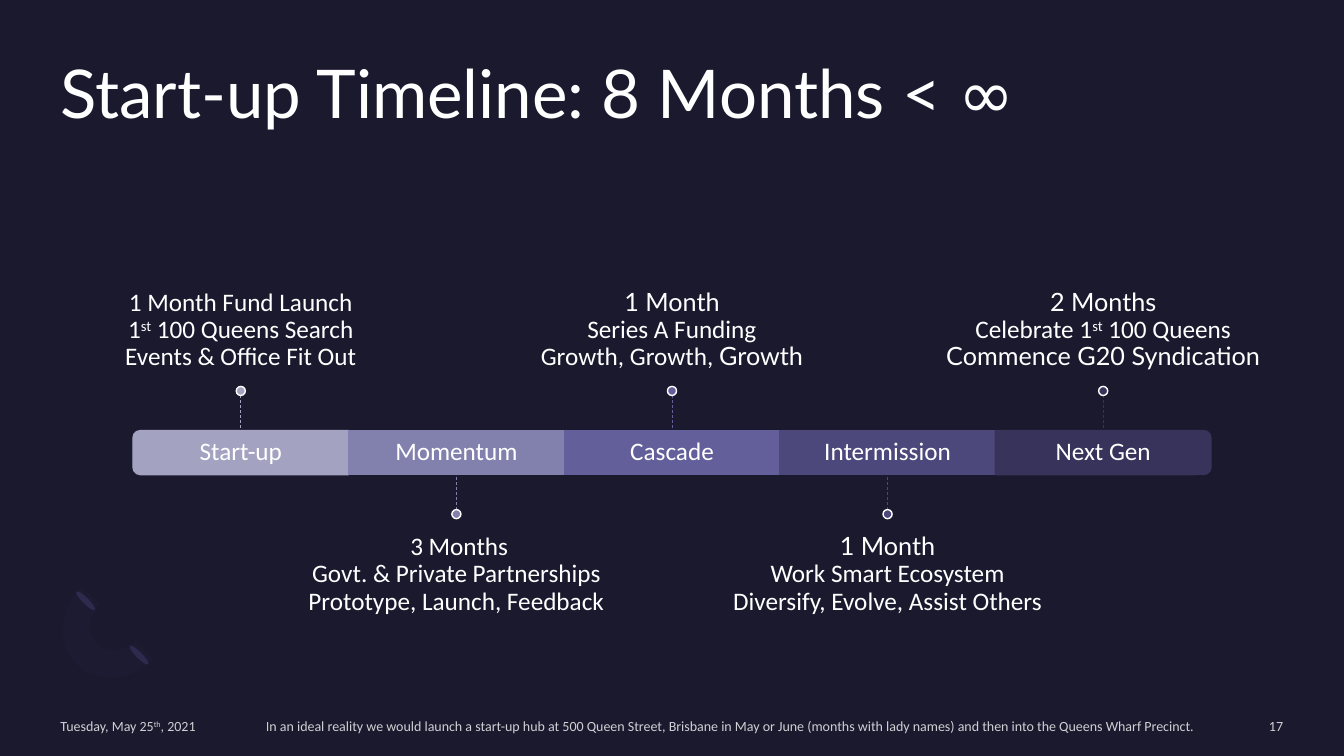
from dataclasses import dataclass

from lxml.etree import SubElement
from pptx import Presentation
from pptx.dml.color import RGBColor
from pptx.enum.dml import MSO_LINE
from pptx.enum.shapes import MSO_CONNECTOR, MSO_SHAPE as SHAPE
from pptx.enum.text import MSO_ANCHOR as ANCHOR, PP_ALIGN as ALIGN
from pptx.oxml.ns import qn
from pptx.util import Pt


@dataclass(frozen=True)
class Theme:
    background: str = "1B192E"
    text: str = "FFFFFF"
    leaf: str = "2C284A"
    arc: str = "7771B2"
    phases: tuple = ("A3A3C1", "8281AE", "625F9A", "4C487B", "37335B")
    body_font: str = "Calibri"
    title_font: str = "Lato"
    symbol_font: str = "League Spartan"
    title_size: int = 48
    body_size: int = 18
    footer_size: int = 10


SUP = "superscript"
LATO = Theme.title_font

BAR_LEFT, BAR_TOP, BAR_W, BAR_H = 95, 307.5, 154, 31.5
STEM, DOT = 25, 6.5
NOTE_W, NOTE_H, NOTE_INSET = 257, 109.5, 10.8

# Phase name, then the runs of its note as (text, font or superscript)
PHASES = [
    ("Start-up", [("1 Month Fund Launch\n1", None), ("st", SUP),
                  (" 100 Queens Search\nEvents & Office Fit Out", None)]),
    ("Momentum", [(" 3 Months\nGovt. & Private Partnerships\n"
                   "Prototype, Launch, Feedback", None)]),
    ("Cascade", [("1 Month\n", LATO),
                 ("Series A Funding\nGrowth, Growth, ", None), ("Growth", LATO)]),
    ("Intermission", [("1 Month\n", LATO),
                      ("Work Smart Ecosystem\nDiversify, Evolve, Assist Others", None)]),
    ("Next Gen", [("2 Months\n", LATO), ("Celebrate 1", None), ("st", SUP),
                  (" 100 Queens\n", None), ("Commence G20 Syndication", LATO)]),
]

FOOTERS = [
    (190, 693, ALIGN.LEFT, [("In an ideal reality we would launch a start-up hub at "
                             "500 Queen Street, Brisbane in May or June (months with lady "
                             "names) and then into the Queens Wharf Precinct.", None)]),
    (783.5, 133, ALIGN.RIGHT, [("17", None)]),
    (43.2, 207, ALIGN.LEFT, [("Tuesday, May 25", None), ("th", SUP), (", 2021", None)]),
]

# Each curve: start, two control points, end
ARC_OUTER = [(54.7, 474.5), (40.3, 460.1), (41.8, 435.6), (58.3, 419)]
ARC_INNER = [[(71.3, 432), (62.6, 439.9), (61.9, 452.9), (69.1, 459.4)],
             [(69.1, 459.4), (76.3, 466.6), (88.6, 465.8), (97.2, 457.9)]]
ARC_END = [(109.4, 470.9), (93.6, 486.7), (68.4, 488.9), (54.7, 474.5)]


def curve_points(curve, steps=12):
    """Sample a cubic Bezier curve."""
    for n in range(steps + 1):
        t = n / steps
        weights = ((1 - t) ** 3, 3 * t * (1 - t) ** 2, 3 * t * t * (1 - t), t ** 3)
        yield tuple(sum(w * point[axis] for w, point in zip(weights, curve))
                    for axis in (0, 1))


def set_opacity(element, percent):
    color = next(element.iter(qn("a:srgbClr")))
    SubElement(color, qn("a:alpha")).set("val", str(percent * 1000))


class SlideBuilder:
    def __init__(self, prs, theme):
        self.theme = theme
        self.s = prs.slides.add_slide(prs.slide_layouts[6])
        fill = self.s.background.fill
        fill.solid()
        fill.fore_color.rgb = RGBColor.from_string(theme.background)

    def paint(self, sp, color, line=None):
        sp.shadow.inherit = False
        sp.fill.solid()
        sp.fill.fore_color.rgb = RGBColor.from_string(color)
        if line:
            sp.line.color.rgb = RGBColor.from_string(line)
            sp.line.width = Pt(1)
        else:
            sp.line.fill.background()

    def shape(self, kind, x, y, w, h, color, line=None, rotation=0):
        sp = self.s.shapes.add_shape(kind, Pt(x), Pt(y), Pt(w), Pt(h))
        self.paint(sp, color, line)
        sp.rotation = rotation
        return sp

    def outline(self, points, color, opacity):
        points = [(Pt(x), Pt(y)) for x, y in points]
        builder = self.s.shapes.build_freeform(*points[0])
        builder.add_line_segments(points[1:], close=True)
        sp = builder.convert_to_shape()
        self.paint(sp, color)
        set_opacity(sp.fill._xPr, opacity)

    def stem(self, x, y1, y2, color):
        cx = self.s.shapes.add_connector(MSO_CONNECTOR.STRAIGHT,
                                         Pt(x), Pt(y1), Pt(x), Pt(y2))
        cx.line.color.rgb = RGBColor.from_string(color)
        cx.line.width = Pt(0.5)
        cx.line.dash_style = MSO_LINE.DASH
        SubElement(cx._element.spPr, qn("a:effectLst"))
        return cx

    def text(self, x, y, w, h, runs, size, font=None, align=ALIGN.LEFT,
             anchor=ANCHOR.TOP, insets=(0, 0, 0, 0), spacing=None, opacity=None):
        """Write one paragraph; insets run left, top, right, bottom."""
        tf = self.s.shapes.add_textbox(Pt(x), Pt(y), Pt(w), Pt(h)).text_frame
        tf.word_wrap = True
        tf.vertical_anchor = anchor
        (tf.margin_left, tf.margin_top,
         tf.margin_right, tf.margin_bottom) = map(Pt, insets)
        p = tf.paragraphs[0]
        p.alignment = align
        p.line_spacing = spacing
        p.font.name = font or self.theme.body_font
        p.font.size = Pt(size)
        p.font.color.rgb = RGBColor.from_string(self.theme.text)
        if opacity:
            set_opacity(p._p, opacity)
        for content, style in runs:
            for n, line in enumerate(content.split("\n")):
                if n:
                    p.add_line_break()
                if line:
                    r = p.add_run()
                    r.text = line
                    if style == SUP:
                        r._r.get_or_add_rPr().set("baseline", "30000")
                    elif style:
                        r.font.name = style

    def phase_bar(self, index, color):
        """Add a bar segment; the two end segments are turned to round their outer side."""
        x = BAR_LEFT + index * BAR_W
        rotation = {0: 270, len(PHASES) - 1: 90}.get(index)
        if rotation is None:
            return self.shape(SHAPE.RECTANGLE, x, BAR_TOP, BAR_W, BAR_H, color, color)
        shift = (BAR_W - BAR_H) / 2
        return self.shape(SHAPE.ROUND_2_SAME_RECTANGLE, x + shift, BAR_TOP - shift,
                          BAR_H, BAR_W, color, color, rotation)

    def phase(self, index, name, note):
        theme = self.theme
        color = theme.phases[index]
        x = BAR_LEFT + index * BAR_W
        center = x + BAR_W / 2
        bar = self.phase_bar(index, color)
        self.text(x, BAR_TOP, BAR_W, BAR_H, [(name, None)], theme.body_size,
                  align=ALIGN.CENTER, anchor=ANCHOR.MIDDLE,
                  insets=(NOTE_INSET,) * 4, spacing=0.9)
        if index % 2:
            edge, side = BAR_TOP + BAR_H, 2
            tip = edge + STEM
            dot_top, note_top = tip, tip + DOT
            anchor, insets = ANCHOR.TOP, (0, NOTE_INSET, 0, 0)
        else:
            edge, side = BAR_TOP, 0
            tip = edge - STEM
            dot_top, note_top = tip - DOT, tip - DOT - NOTE_H
            anchor, insets = ANCHOR.BOTTOM, (0, 0, 0, NOTE_INSET)
        self.text(center - NOTE_W / 2, note_top, NOTE_W, NOTE_H, note, theme.body_size,
                  align=ALIGN.CENTER, anchor=anchor, insets=insets, spacing=0.9)
        stem = self.stem(center, tip, edge, color)
        if not bar.rotation:
            stem.end_connect(bar, side)
        self.shape(SHAPE.OVAL, center - DOT / 2, dot_top, DOT, DOT, color, theme.text)


def main():
    prs = Presentation()
    prs.slide_width, prs.slide_height = Pt(960), Pt(540)
    theme = Theme()
    page = SlideBuilder(prs, theme)

    for x, y in ((97.2, 458.6), (59, 419.8)):
        page.shape(SHAPE.OVAL, x, y, 4.3, 18.7, theme.leaf, rotation=135)
    arc = [point for curve in (ARC_OUTER, *ARC_INNER, ARC_END)
           for point in curve_points(curve)]
    page.outline(arc, theme.arc, 3)

    page.text(43.2, 43.2, 873.5, 105, [("Start-up Timeline: 8 Months < ", None),
                                       ("∞", theme.symbol_font)],
              theme.title_size, font=theme.title_font, spacing=0.9)
    for index, (name, note) in enumerate(PHASES):
        page.phase(index, name, note)
    for x, w, align, runs in FOOTERS:
        page.text(x, 512.6, w, 12.2, runs, theme.footer_size, align=align,
                  anchor=ANCHOR.MIDDLE, opacity=80)
    prs.save("out.pptx")


if __name__ == "__main__":
    main()
